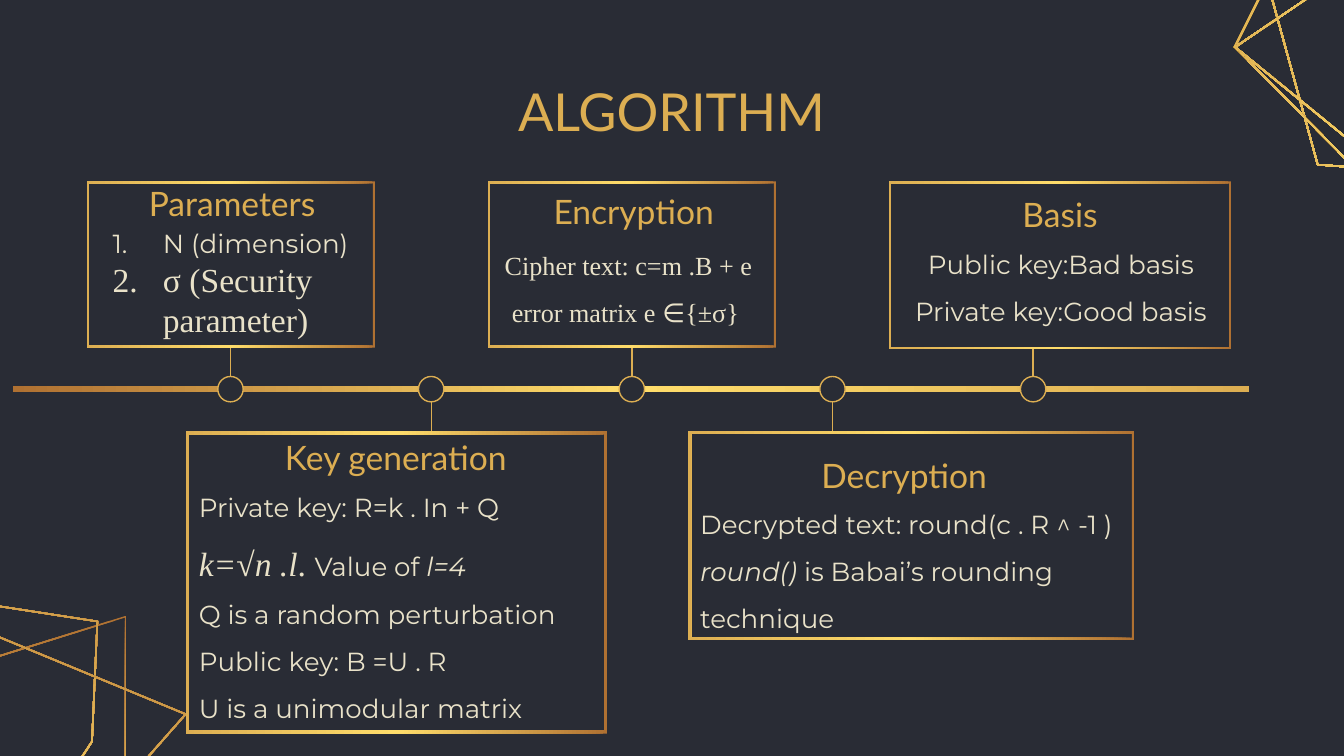
from math import cos, hypot, radians, sin

from lxml import etree
from pptx import Presentation
from pptx.dml.color import RGBColor
from pptx.enum.shapes import MSO_CONNECTOR, MSO_SHAPE
from pptx.enum.text import MSO_ANCHOR, MSO_AUTO_SIZE, PP_ALIGN
from pptx.oxml.ns import qn
from pptx.util import Pt

LEFT, CENTER = PP_ALIGN.LEFT, PP_ALIGN.CENTER
TOP, MIDDLE = MSO_ANCHOR.TOP, MSO_ANCHOR.MIDDLE
NO_AUTOFIT = MSO_AUTO_SIZE.NONE
STRAIGHT = MSO_CONNECTOR.STRAIGHT
RECTANGLE, OVAL = MSO_SHAPE.RECTANGLE, MSO_SHAPE.OVAL

NAVY, GOLD, CREAM = "292C35", "DCAE52", "E9E2C9"
GRADIENT = ((0, "AF7132"), (50, "FFDD6B"), (100, GOLD))
LATO, MONTSERRAT, TIMES = "Lato", "Montserrat", "Times New Roman"

# Corner polygons: rotation, then corner points
CORNERS = (
    (0, ((-110.2, 647.3), (-234.7, 424.1), (67.7, 329.8), (67.7, 463))),
    (85.2, ((672.5, -31.7), (750.2, -69.8), (847.4, 15.8), (870.5, 79.9),
            (832.3, 97.9), (705.6, 88.6))),
    (85.2, ((661, 25.2), (689.8, -32.4), (864.7, 15.1), (876.2, 123.1),
            (722.9, 87.8))),
    (85.2, ((661, 25.2), (798.5, -67.7), (876.2, 123.1), (789.8, 130.3))),
    (23.8, ((-241.2, 517), (-235.4, 383.8), (-49.7, 316.8), (52.6, 332.6),
            (49.7, 397.4), (-56.2, 560.2))),
    (23.8, ((-187.9, 599), (-243.4, 519.1), (-51.8, 319.7), (100.1, 382.5),
            (-58.3, 562.3))),
)

# Steps: heading, heading place, frame box, frame thickness, body box,
# alignment, line spacing, numbered, paragraphs of (text, size, font, italic)
STEPS = (
    ("Parameters", (46.3, 94.6), (46.4, 97.2, 154.4, 89), 1.1,
     (53.2, 114.5, 146, 68.4), LEFT, 1, True,
     ((("N (dimension)", 14, MONTSERRAT, False),),
      (("σ (Security parameter)", 18, TIMES, False),))),
    ("Key generation", (134, 230.7), (99.4, 231, 226, 162), 1.8,
     (99.4, 247.5, 215.3, 145.4), LEFT, 1.5, False,
     ((("Private key: R=k . In + Q", 14, MONTSERRAT, False),),
      (("k=√n .l", 18, TIMES, True), (". ", 18, TIMES, False),
       ("Value of ", 14, MONTSERRAT, False), ("l=4", 14, MONTSERRAT, True)),
      (("Q is a random perturbation", 14, MONTSERRAT, False),),
      (("Public key: B =U . R", 14, MONTSERRAT, False),),
      (("U is a unimodular matrix", 14, MONTSERRAT, False),))),
    ("Encryption", (261.4, 99.2), (261.2, 97.2, 154.4, 89), 1.1,
     (258.7, 118, 156.2, 68.4), CENTER, 1.5, False,
     ((("Cipher text: c=m .B + e", 14, TIMES, False),),
      (("error matrix e ", 14, TIMES, False), ("∈", 14, LATO, False),
       ("{±σ} ", 14, TIMES, False)))),
    ("Decryption", (406.3, 240.5), (368.8, 231, 239, 112), 1.4,
     (368, 257, 239, 108), LEFT, 1.5, False,
     ((("Decrypted text: round(c . R ^ -1 )", 14, MONTSERRAT, False),),
      (("round() ", 14, MONTSERRAT, True),
       ("is Babai’s rounding technique", 14, MONTSERRAT, False)))),
    ("Basis", (489.8, 100.8), (476, 97.2, 183.6, 90), 1.2,
     (476.6, 117.4, 183.6, 68.4), CENTER, 1.5, False,
     ((("Public key:Bad basis", 14, MONTSERRAT, False),),
      (("Private key:Good basis", 14, MONTSERRAT, False),))),
)


def color(value):
    """Turn a hex string into a colour."""
    return RGBColor.from_string(value)


def fill_gradient(shape, angle):
    """Give a shape the three-stop gold gradient, without line or shadow."""
    shape.shadow.inherit = False
    shape.line.fill.background()
    shape.fill.gradient()
    shape.fill.gradient_angle = -angle % 360
    stops = shape._element.spPr.find(".//" + qn("a:gsLst"))
    stops.clear()
    for position, value in GRADIENT:
        stop = etree.SubElement(stops, qn("a:gs"), pos=str(position * 1000))
        etree.SubElement(stop, qn("a:srgbClr"), val=value)


def turn(point, degrees):
    """Rotate a point clockwise about the slide's corner."""
    x, y = point
    c, s = cos(radians(degrees)), sin(radians(degrees))
    return x * c - y * s, x * s + y * c


def inset(points, distance):
    """Move the sides of a clockwise polygon inwards."""
    normals = []
    for (x1, y1), (x2, y2) in zip(points, points[1:] + points[:1]):
        length = hypot(x2 - x1, y2 - y1)
        normals.append(((y1 - y2) / length, (x2 - x1) / length))
    result = []
    for index, (x, y) in enumerate(points):
        (ax, ay), (bx, by) = normals[index - 1], normals[index]
        factor = distance / (1 + ax * bx + ay * by)
        result.append((x + (ax + bx) * factor, y + (ay + by) * factor))
    return result


def add_ring(slide, corners, thickness, rotation):
    """Draw a hollow polygon whose gradient turns with it."""
    outer = [turn(corner, -rotation) for corner in corners]
    inner = inset(outer, thickness)[::-1]
    outer, inner = ([(Pt(x), Pt(y)) for x, y in ring] for ring in (outer, inner))
    builder = slide.shapes.build_freeform(*outer[0])
    builder.add_line_segments(outer[1:], close=True)
    builder.move_to(*inner[0])
    builder.add_line_segments(inner[1:], close=True)
    shape = builder.convert_to_shape()
    x, y = turn((shape.left + shape.width / 2, shape.top + shape.height / 2), rotation)
    shape.left, shape.top = int(x - shape.width / 2), int(y - shape.height / 2)
    shape.rotation = rotation
    fill_gradient(shape, 90)


def add_frame(slide, box, thickness):
    """Draw a rectangular frame, its gradient running right to left."""
    x, y, width, height = box
    corners = ((x, y), (x + width, y), (x + width, y + height), (x, y + height))
    add_ring(slide, corners, thickness, 90)


def add_marker(slide, x, above):
    """Draw one timeline dot and the stem to its frame."""
    start, end = (186, 202) if above else (215, 231)
    stem = slide.shapes.add_connector(STRAIGHT, Pt(x), Pt(start), Pt(x), Pt(end))
    etree.SubElement(stem._element.spPr, qn("a:effectLst"))
    dot = slide.shapes.add_shape(OVAL, Pt(x - 6.8), Pt(201.7), Pt(13.6), Pt(13.6))
    dot.shadow.inherit = False
    dot.fill.solid()
    dot.fill.fore_color.rgb = color(NAVY)
    for line in (stem.line, dot.line):
        line.color.rgb = color(GOLD)
        line.width = Pt(0.75)


def set_font(font, size, name, value, italic=False):
    """Set the size, family, colour and slant of a font."""
    font.size, font.name, font.italic = Pt(size), name, italic
    font.color.rgb = color(value)


def set_frame(frame, anchor):
    """Set wrapping, margins and anchor of a text frame."""
    frame.word_wrap = True
    frame.auto_size = NO_AUTOFIT
    frame.vertical_anchor = anchor
    frame.margin_left = frame.margin_right = Pt(7.2)
    frame.margin_top = frame.margin_bottom = Pt(7.2)


def number(paragraph):
    """Make a paragraph an item of a numbered list."""
    properties = paragraph._p.get_or_add_pPr()
    properties.set("marL", str(Pt(27)))
    properties.set("indent", str(-Pt(27)))
    bullet = etree.Element(qn("a:buAutoNum"), type="arabicPeriod")
    properties.insert_element_before(bullet, "a:tabLst", "a:defRPr", "a:extLst")


def add_text(slide, box, paragraphs, value, align, anchor=TOP, spacing=1, numbered=False):
    """Add a text box of paragraphs, each a row of runs."""
    frame = slide.shapes.add_textbox(*map(Pt, box)).text_frame
    set_frame(frame, anchor)
    for index, runs in enumerate(paragraphs):
        paragraph = frame.add_paragraph() if index else frame.paragraphs[0]
        paragraph.alignment, paragraph.line_spacing = align, spacing
        for text, size, name, italic in runs:
            run = paragraph.add_run()
            run.text = text
            font = run.font if len(runs) > 1 else paragraph.font
            set_font(font, size, name, value, italic)
        if numbered:
            number(paragraph)


def add_title(slide, text):
    """Place and format the slide title."""
    title = slide.shapes.title
    title.left, title.top, title.width, title.height = map(Pt, (157, 42.5, 405.4, 33.8))
    title.text_frame.text = text
    set_frame(title.text_frame, MIDDLE)
    paragraph = title.text_frame.paragraphs[0]
    paragraph.alignment = CENTER
    set_font(paragraph.font, 28, LATO, GOLD)


def main():
    """Build the slide and save it."""
    presentation = Presentation()
    presentation.slide_width, presentation.slide_height = Pt(720), Pt(405)
    slide = presentation.slides.add_slide(presentation.slide_layouts[5])
    slide.background.fill.solid()
    slide.background.fill.fore_color.rgb = color(NAVY)
    add_title(slide, "ALGORITHM")
    for rotation, corners in CORNERS:
        add_ring(slide, corners, 0.8, rotation)
    bar = slide.shapes.add_shape(RECTANGLE, Pt(7), Pt(206.7), Pt(662), Pt(3.6))
    fill_gradient(bar, 0)
    for index, step in enumerate(STEPS):
        heading, place, box, thickness, body, align, spacing, numbered, paragraphs = step
        add_marker(slide, 123.5 + 107.5 * index, above=index % 2 == 0)
        add_frame(slide, box, thickness)
        add_text(slide, body, paragraphs, CREAM, align, TOP, spacing, numbered)
        add_text(slide, (*place, 156.2, 28), (((heading, 18, LATO, False),),),
                 GOLD, CENTER, MIDDLE)
    presentation.save("out.pptx")


main()
